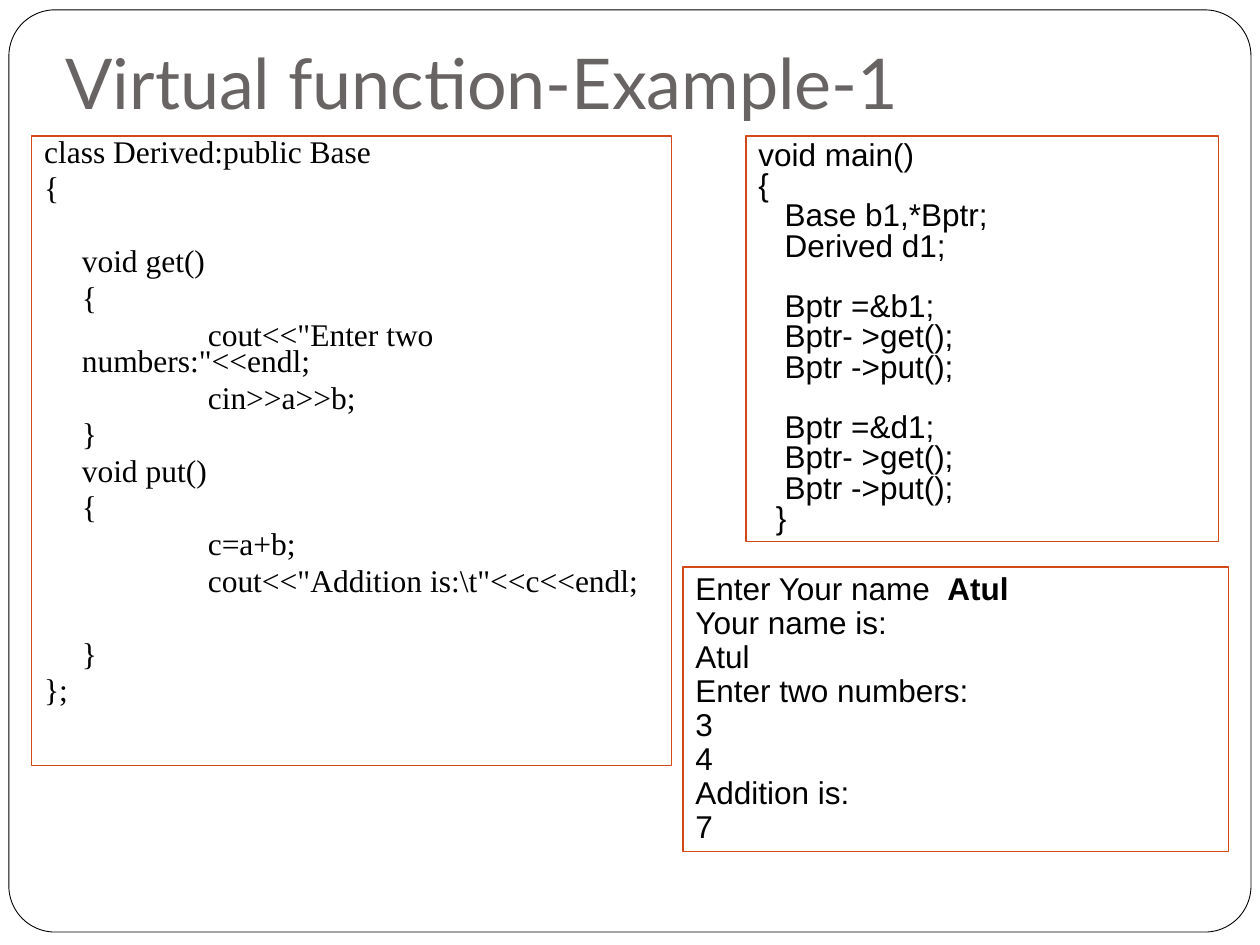
import pptx
import pptx.dml.color
import pptx.enum.shapes
import pptx.enum.text
import pptx.util
from lxml import etree

Cm, Pt = pptx.util.Cm, pptx.util.Pt
Anchor = pptx.enum.text.MSO_ANCHOR

# Each line: text, indent level, whether a gap of one line stands above it
DERIVED = [
    ("class Derived:public Base", 0, False),
    ("{", 0, False),
    ("void get()", 1, True),
    ("{", 1, False),
    ('cout<<"Enter two numbers:"<<endl;', 2, False),
    ("cin>>a>>b;", 2, False),
    ("}", 1, False),
    ("void put()", 1, False),
    ("{", 1, False),
    ("c=a+b;", 2, False),
    ('cout<<"Addition is:\\t"<<c<<endl;', 2, False),
    ("}", 1, True),
    ("};", 0, False),
]
MAIN = [
    ("void main()", 0, False),
    ("{", 0, False),
    ("Base b1,*Bptr;", 2, False),
    ("Derived d1;", 2, False),
    ("Bptr =&b1;", 2, True),
    ("Bptr- >get();", 2, False),
    ("Bptr ->put();", 2, False),
    ("Bptr =&d1;", 2, True),
    ("Bptr- >get();", 2, False),
    ("Bptr ->put();", 2, False),
    ("}", 1, False),
]
OUTPUT = [(text, 0, False) for text in (
    "Enter Your name\t", "Your name is:", "Atul", "Enter two numbers:",
    "3", "4", "Addition is:", "7")]

# Indents by level: left margin and first line, in cm; spacing in points
PANELS = [
    dict(box=(0.64, 2.74, 12.9, 12.7), lines=DERIVED, font="Times New Roman",
         lead=0.7, above=5.8, gap=20.8, steps=[(0, 0), (0.76, 0), (0.76, 2.54)]),
    dict(box=(15.04, 2.74, 9.53, 8.18), lines=MAIN, font="Arial",
         lead=0.8, above=0, gap=17.3, steps=[(0, 0), (0.35, 0), (0.53, 0)]),
    dict(box=(13.77, 11.43, 11, 5.74), lines=OUTPUT, font="Arial",
         lead=0.9, above=0, gap=0, steps=[(0, 0)]),
]


def tint(code):
    return pptx.dml.color.RGBColor.from_string(code)


def style(para, font, size, color):
    for run in para.runs:
        run.font.name = font
        run.font.size = Pt(size)
        run.font.color.rgb = tint(color)


def add_box(slide, box, anchor):
    shape = slide.shapes.add_textbox(*map(Cm, box))
    shape.text_frame.word_wrap = True
    shape.text_frame.vertical_anchor = anchor
    return shape


def add_tab(para, stop):
    props = para._p.get_or_add_pPr()
    space = "{%s}" % props.nsmap["a"]
    tabs = etree.SubElement(props, space + "tabLst")
    etree.SubElement(tabs, space + "tab", pos=str(Cm(stop)), algn="l")


def add_panel(slide, box, lines, font, lead, above, gap, steps):
    shape = add_box(slide, box, Anchor.TOP)
    shape.line.color.rgb = tint("D34817")
    shape.line.width = Pt(0.75)
    frame = shape.text_frame
    for i, (text, level, apart) in enumerate(lines):
        para = frame.add_paragraph() if i else frame.paragraphs[0]
        para.text = text
        para.line_spacing = lead
        para.space_before = Pt(above + gap * apart)
        left, first = steps[level]
        props = para._p.get_or_add_pPr()
        props.set("marL", str(Cm(left)))
        props.set("indent", str(Cm(first)))
        style(para, font, 18, "000000")
    return frame


deck = pptx.Presentation()
deck.slide_width, deck.slide_height = Cm(25.4), Cm(19.05)
slide = deck.slides.add_slide(deck.slide_layouts[6])

border = slide.shapes.add_shape(
    pptx.enum.shapes.MSO_SHAPE.ROUNDED_RECTANGLE,
    *map(Cm, (0.18, 0.2, 25.04, 18.59)))
border.adjustments[0] = 0.05
border.shadow.inherit = False
border.fill.solid()
border.fill.fore_color.rgb = tint("FFFFFF")
border.line.color.rgb = tint("000000")
border.line.width = Pt(0.5)

title = add_box(slide, (1.07, 0.76, 23.06, 1.98), Anchor.BOTTOM).text_frame
title.margin_bottom = Cm(0.25)
title.text = "Virtual function-Example-1"
style(title.paragraphs[0], "Lato", 40, "696464")

frames = [add_panel(slide, **panel) for panel in PANELS]

prompt = frames[-1].paragraphs[0]
add_tab(prompt, 5.26)
answer = prompt.add_run()
answer.text = "Atul"
answer.font.bold = True
style(prompt, "Arial", 18, "000000")

deck.save("out.pptx")
